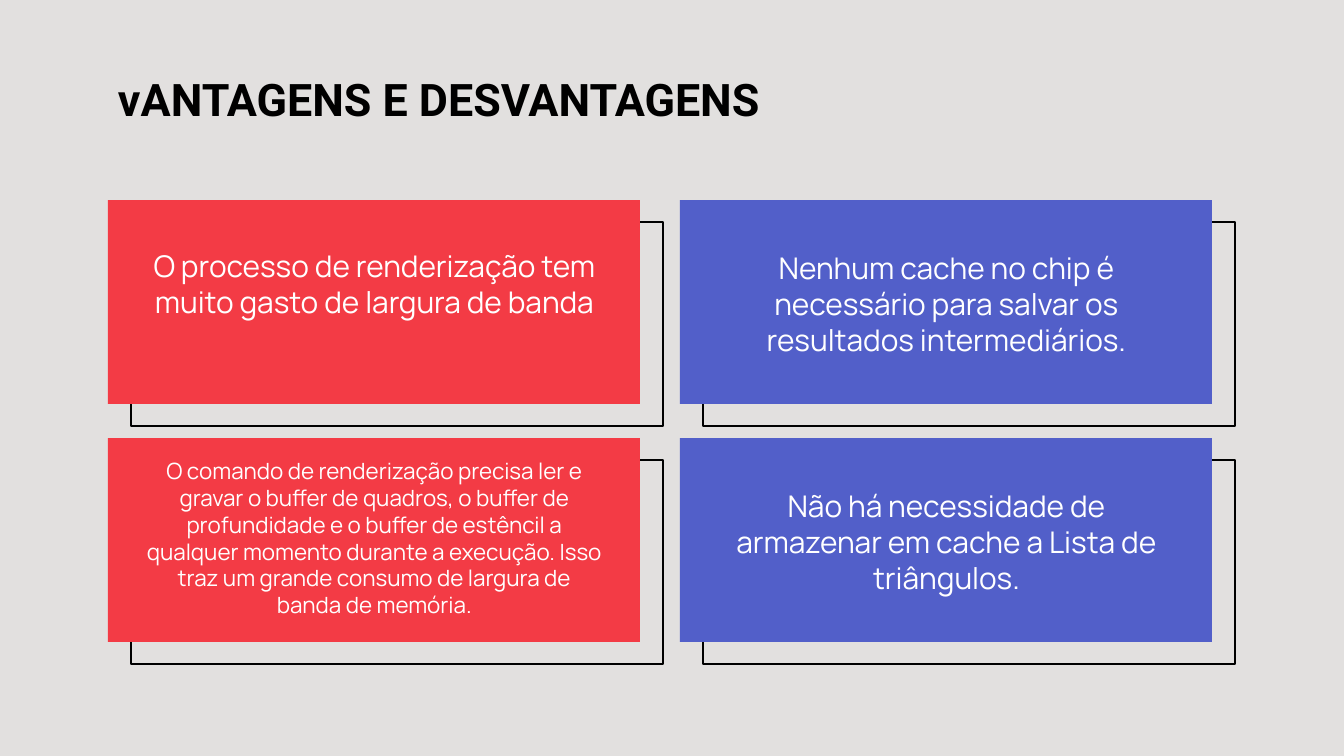
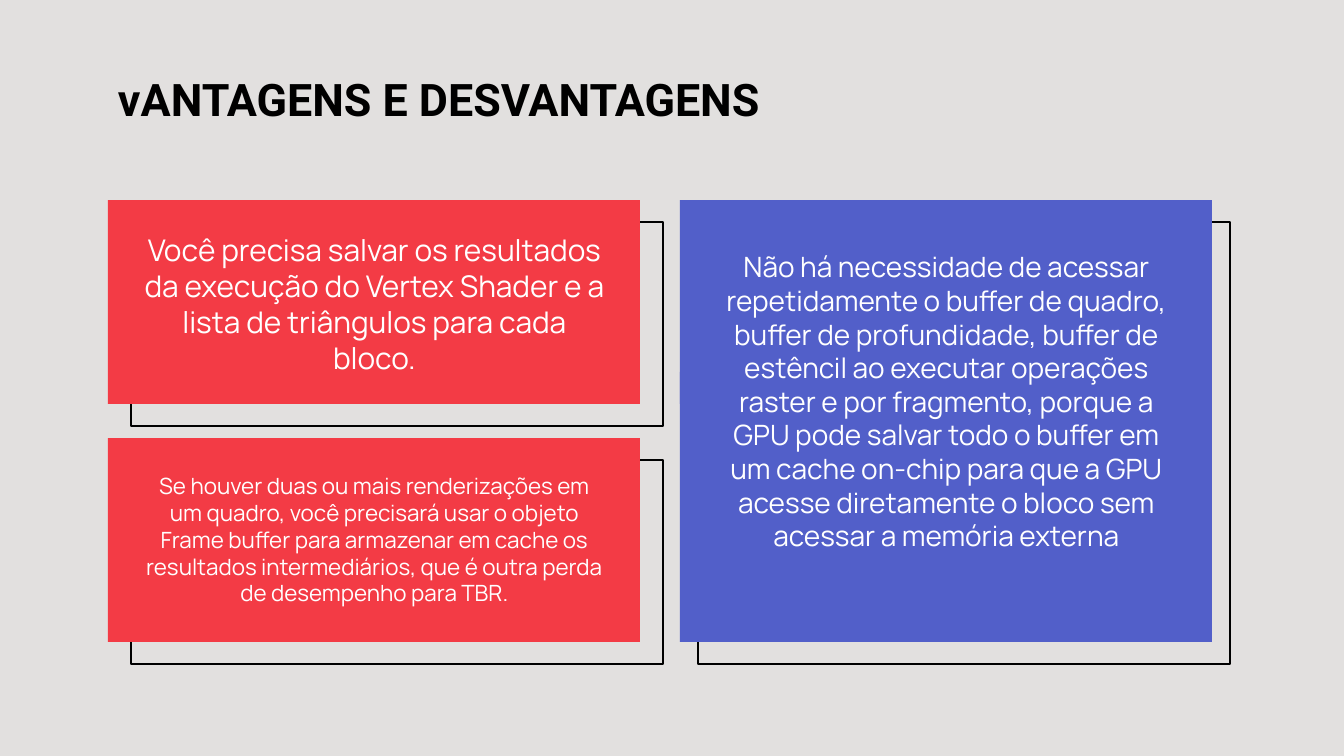
from pptx import Presentation
from pptx.dml.color import RGBColor
from pptx.enum.shapes import MSO_SHAPE
from pptx.enum.text import MSO_ANCHOR, PP_ALIGN
from pptx.util import Pt

RECT = MSO_SHAPE.RECTANGLE
TOP, MIDDLE = MSO_ANCHOR.TOP, MSO_ANCHOR.MIDDLE
LEFT, CENTER = PP_ALIGN.LEFT, PP_ALIGN.CENTER

SLIDE_W, SLIDE_H = 1344, 756
EMU_PER_PX = 9144000 / SLIDE_W
COLORS = {
    "background": "E2E0DF",
    "ink": "000000",
    "white": "FFFFFF",
    "red": "F33B45",
    "blue": "525FC9",
}
TITLE = "vANTAGENS E DESVANTAGENS"
TITLE_FORMAT = {"name": "Roboto", "size": Pt(24), "bold": True}

CARD_W, CARD_H = 532, 204
LEFT_X, RIGHT_X = 108, 680
ROW_1, ROW_2 = 200, 438
FRAME_DX, FRAME_DY = 23, 22
TEXT_W = 487
INSET = 13


def px(n):
    return round(n * EMU_PER_PX)


def rgb(name):
    return RGBColor.from_string(COLORS[name])


def add_rect(slide, x, y, h):
    sp = slide.shapes.add_shape(RECT, px(x), px(y), px(CARD_W), px(h))
    sp.shadow.inherit = False
    return sp


def add_frame(slide, x, y, h=CARD_H):
    """Draw the thin outline that sits behind a card."""
    sp = add_rect(slide, x, y, h)
    sp.fill.background()
    sp.line.color.rgb = rgb("ink")
    sp.line.width = Pt(0.75)


def add_card(slide, color, x, y, h=CARD_H):
    sp = add_rect(slide, x, y, h)
    sp.fill.solid()
    sp.fill.fore_color.rgb = rgb(color)
    sp.line.fill.background()


def add_text(slide, text, box, font, color, align, anchor):
    tf = slide.shapes.add_textbox(*map(px, box)).text_frame
    frame_format = {"word_wrap": True, "vertical_anchor": anchor}
    for side in ("left", "top", "right", "bottom"):
        frame_format[f"margin_{side}"] = px(INSET)
    for name, value in frame_format.items():
        setattr(tf, name, value)
    p = tf.paragraphs[0]
    p.alignment = align
    r = p.add_run()
    r.text = text
    for name, value in font.items():
        setattr(r.font, name, value)
    r.font.color.rgb = rgb(color)


def add_card_text(slide, text, x, y, h, size=16):
    add_text(slide, text, (x + FRAME_DX, y, TEXT_W, h),
             {"name": "Manrope", "size": Pt(size)}, "white", CENTER, TOP)


def add_slide(prs, frames, cards, texts):
    """Add a titled slide with its frames, cards and card texts, back to front."""
    slide = prs.slides.add_slide(prs.slide_layouts[6])
    fill = slide.background.fill
    fill.solid()
    fill.fore_color.rgb = rgb("background")
    for frame in frames:
        add_frame(slide, *frame)
    for card in cards:
        add_card(slide, *card)
    add_text(slide, TITLE, (105, 56, 1134, 85), TITLE_FORMAT, "ink", LEFT, MIDDLE)
    for text in texts:
        add_card_text(slide, *text)


def main():
    prs = Presentation()
    prs.slide_width, prs.slide_height = px(SLIDE_W), px(SLIDE_H)

    left_frames, right_frames = (
        [(x + FRAME_DX, y + FRAME_DY) for y in (ROW_2, ROW_1)]
        for x in (LEFT_X, RIGHT_X))
    red_cards = [("red", LEFT_X, y) for y in (ROW_2, ROW_1)]
    blue_cards = [("blue", RIGHT_X, y) for y in (ROW_2, ROW_1)]

    add_slide(prs, right_frames + left_frames, blue_cards + red_cards, [
        ("O processo de renderização tem muito gasto de largura de banda",
         LEFT_X, 235, 132),
        ("O comando de renderização precisa ler e gravar o buffer de quadros, "
         "o buffer de profundidade e o buffer de estêncil a qualquer momento "
         "durante a execução. Isso traz um grande consumo de largura de banda "
         "de memória.", LEFT_X, 444, 163, 12),
        ("Nenhum cache no chip é necessário para salvar os resultados "
         "intermediários.", RIGHT_X, 237, 132),
        ("Não há necessidade de armazenar em cache a Lista de triângulos.",
         RIGHT_X, 475, 132),
    ])

    tall_frame = (698, ROW_1 + FRAME_DY, 442)
    tall_card = [("blue", RIGHT_X, 372, 270), ("blue", RIGHT_X, ROW_1)]
    add_slide(prs, [tall_frame] + left_frames, tall_card + red_cards, [
        ("Você precisa salvar os resultados da execução do Vertex Shader e a "
         "lista de triângulos para cada bloco.", LEFT_X, 219, 141),
        ("Se houver duas ou mais renderizações em um quadro, você precisará "
         "usar o objeto Frame buffer para armazenar em cache os resultados "
         "intermediários, que é outra perda de desempenho para TBR.",
         LEFT_X, 459, 163, 12),
        ("Não há necessidade de acessar repetidamente o buffer de quadro, "
         "buffer de profundidade, buffer de estêncil ao executar operações "
         "raster e por fragmento, porque a GPU pode salvar todo o buffer em "
         "um cache on-chip para que a GPU acesse diretamente o bloco sem "
         "acessar a memória externa", RIGHT_X, 237, 442, 15),
    ])

    prs.save("out.pptx")


if __name__ == "__main__":
    main()
